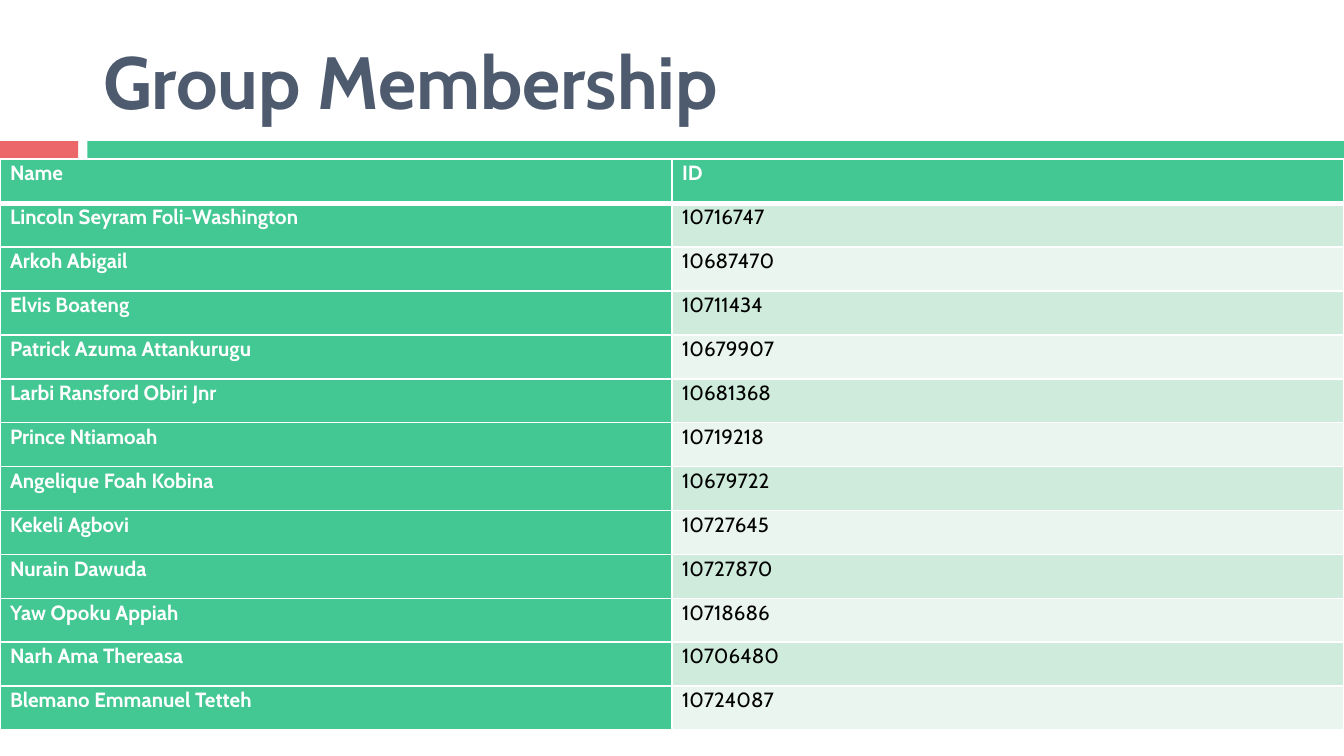
from dataclasses import dataclass

from lxml import etree
from pptx import Presentation
from pptx.dml.color import RGBColor
from pptx.enum.shapes import MSO_SHAPE
from pptx.enum.text import MSO_ANCHOR
from pptx.oxml.ns import qn
from pptx.util import Cm, Pt

RECTANGLE = MSO_SHAPE.RECTANGLE
MIDDLE = MSO_ANCHOR.MIDDLE
BLANK_LAYOUT = 6
SLIDE_WIDTH, SLIDE_HEIGHT = 25.4, 14.29

MEMBERS = [
    ("Lincoln Seyram Foli-Washington", "10716747"),
    ("Arkoh Abigail", "10687470"),
    ("Elvis Boateng", "10711434"),
    ("Patrick Azuma Attankurugu", "10679907"),
    ("Larbi Ransford Obiri Jnr", "10681368"),
    ("Prince Ntiamoah", "10719218"),
    ("Angelique Foah Kobina", "10679722"),
    ("Kekeli Agbovi", "10727645"),
    ("Nurain Dawuda", "10727870"),
    ("Yaw Opoku Appiah", "10718686"),
    ("Narh Ama Thereasa", "10706480"),
    ("Blemano Emmanuel Tetteh", "10724087"),
]


@dataclass(frozen=True)
class Theme:
    font: str = "Cabin"
    title_size: float = 39.6
    table_size: float = 11
    title: str = "4E5B6F"
    green: str = "44C893"
    red: str = "EB676A"
    white: str = "FFFFFF"
    black: str = "000000"
    bands: tuple = ("CFEBDC", "E9F5EE")
    thin_line: float = 1
    thick_line: float = 3


class SlideBuilder:
    def __init__(self, slide, theme):
        self.slide = slide
        self.theme = theme

    def style(self, para, size, color, bold):
        font = para.font
        font.name = self.theme.font
        font.size = Pt(size)
        font.bold = bold
        font.color.rgb = RGBColor.from_string(color)

    def bar(self, left, top, width, height, color):
        bar = self.slide.shapes.add_shape(
            RECTANGLE, Cm(left), Cm(top), Cm(width), Cm(height))
        bar.shadow.inherit = False
        bar.fill.solid()
        bar.fill.fore_color.rgb = RGBColor.from_string(color)
        bar.line.fill.background()

    def title(self, text, left, top, width, height):
        box = self.slide.shapes.add_textbox(
            Cm(left), Cm(top), Cm(width), Cm(height))
        frame = box.text_frame
        frame.word_wrap = True
        frame.vertical_anchor = MIDDLE
        para = frame.paragraphs[0]
        para.text = text
        self.style(para, self.theme.title_size, self.theme.title, True)

    def border(self, cell, side, width):
        properties = cell._tc.get_or_add_tcPr()
        line = etree.SubElement(properties, qn(f"a:ln{side}"), w=str(Pt(width)))
        fill = etree.SubElement(line, qn("a:solidFill"))
        etree.SubElement(fill, qn("a:srgbClr"), val=self.theme.white)

    def cell(self, cell, text, row, column):
        theme = self.theme
        emphasized = row == 0 or column == 0
        # Borders come before the fill, with a thick line under the header
        for side in "LRTB":
            under_header = (row, side) in ((0, "B"), (1, "T"))
            self.border(cell, side,
                        theme.thick_line if under_header else theme.thin_line)
        cell.fill.solid()
        fill = theme.green if emphasized else theme.bands[(row - 1) % 2]
        cell.fill.fore_color.rgb = RGBColor.from_string(fill)
        cell.margin_left = cell.margin_right = Cm(0.19)
        cell.margin_top = cell.margin_bottom = 0
        para = cell.text_frame.paragraphs[0]
        para.text = text
        para.line_spacing = 1.07
        self.style(para, theme.table_size,
                   theme.white if emphasized else theme.black, emphasized)

    def table(self, rows, left, top, width, row_height):
        frame = self.slide.shapes.add_table(
            len(rows), len(rows[0]), Cm(left), Cm(top), Cm(width),
            Cm(row_height * len(rows)))
        table = frame.table
        for row, values in enumerate(rows):
            table.rows[row].height = Cm(row_height)
            for column, text in enumerate(values):
                self.cell(table.cell(row, column), text, row, column)


def main():
    deck = Presentation()
    deck.slide_width, deck.slide_height = Cm(SLIDE_WIDTH), Cm(SLIDE_HEIGHT)
    theme = Theme()
    page = SlideBuilder(
        deck.slides.add_slide(deck.slide_layouts[BLANK_LAYOUT]), theme)

    # Divider bars
    page.bar(0, 2.67, 1.48, 0.48, theme.red)
    page.bar(1.65, 2.67, SLIDE_WIDTH - 1.65, 0.48, theme.green)

    # Title
    page.title("Group Membership", 1.7, 0.48, 22.66, 2.06)

    # Member table
    page.table([("Name", "ID")] + MEMBERS, 0, 3.01, SLIDE_WIDTH, 0.83)

    deck.save("out.pptx")


if __name__ == "__main__":
    main()
